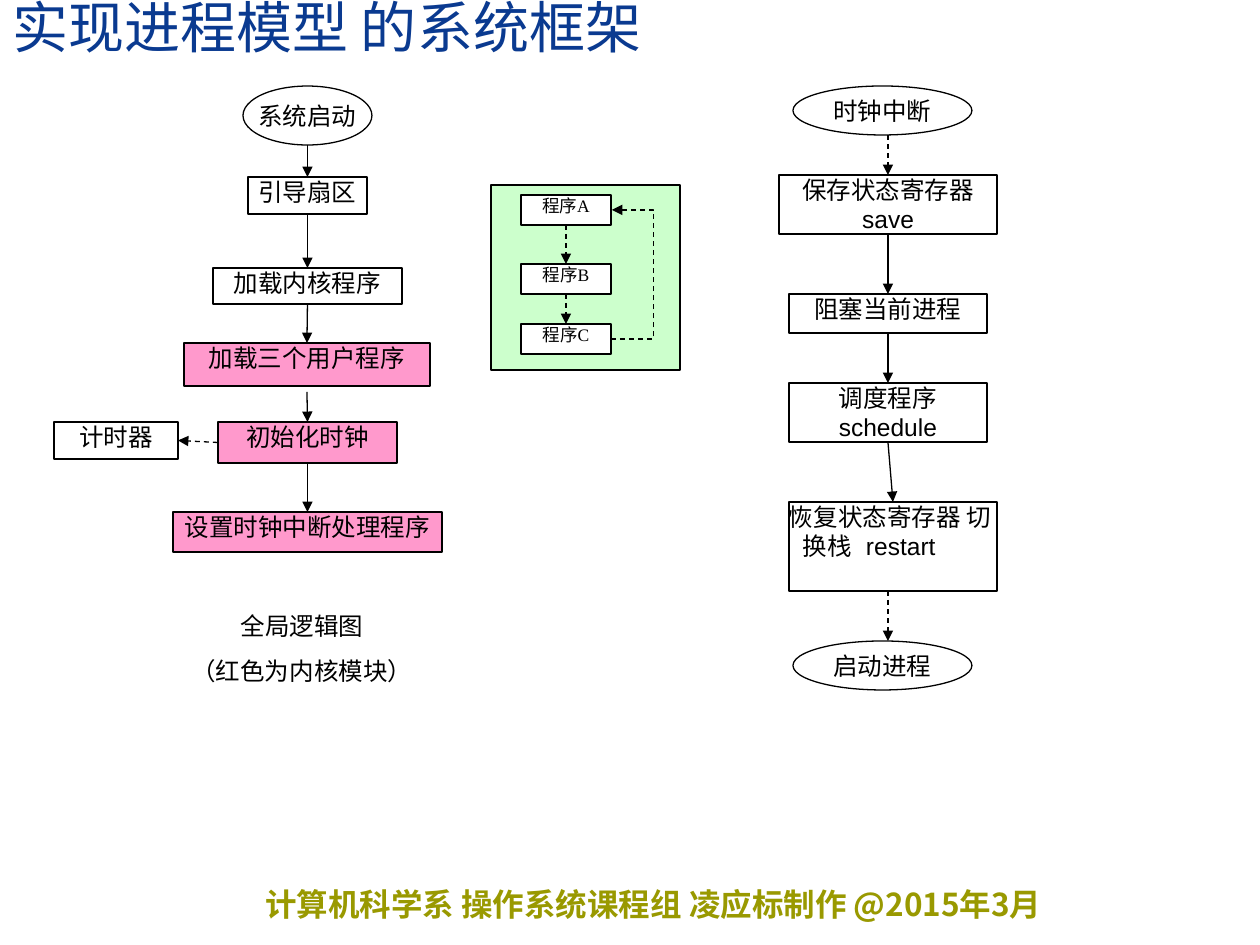
from lxml.etree import SubElement
from pptx import Presentation
from pptx.dml.color import RGBColor
from pptx.enum.dml import MSO_LINE
from pptx.enum.shapes import MSO_CONNECTOR, MSO_SHAPE
from pptx.enum.text import MSO_ANCHOR, PP_ALIGN
from pptx.oxml.ns import qn
from pptx.util import Emu, Pt

EMU_PER_PX = 914400 / 126
CJK_FONT = "Noto Sans CJK SC"
BLACK, WHITE, PINK, GREEN = "000000", "FFFFFF", "FF99CC", "CCFFCC"
TOP, LEFT, BOTTOM, RIGHT = range(4)


def px(*lengths):
    return [Emu(round(length * EMU_PER_PX)) for length in lengths]


def write(box, text, size, font, color=BLACK, align=PP_ALIGN.CENTER, bold=False):
    frame = box.text_frame
    frame.text = text
    for para in frame.paragraphs:
        para.alignment = align
        for span in para.runs:
            span.font.size = Pt(size)
            span.font.name = font
            span.font.bold = bold
            span.font.color.rgb = RGBColor.from_string(color)
            SubElement(span.font._element, qn("a:ea"), typeface=CJK_FONT)


deck = Presentation()
deck.slide_width, deck.slide_height = px(1260, 945)
page = deck.slides.add_slide(deck.slide_layouts[6])

# Title, footer and caption
title = page.shapes.add_textbox(*px(0, 0, 1260, 66))
title.text_frame.word_wrap = True
title.text_frame.vertical_anchor = MSO_ANCHOR.BOTTOM
write(title, "实现进程模型 的系统框架", 32, "Times New Roman", "0A3A90", PP_ALIGN.LEFT)
title.text_frame.paragraphs[0].line_spacing = 0.8

footer = page.shapes.add_textbox(*px(253, 879, 942, 50))
footer.text_frame.word_wrap = True
write(footer, "计算机科学系 操作系统课程组 凌应标制作 @2015年3月", 18, CJK_FONT,
      "999900", PP_ALIGN.LEFT, bold=True)

caption = page.shapes.add_textbox(*px(113, 611, 378, 79))
caption.text_frame.word_wrap = True
caption.text_frame.margin_top = caption.text_frame.margin_bottom = 0
write(caption, "全局逻辑图\n（红色为内核模块）", 14, "Times New Roman")
caption.text_frame.paragraphs[1].space_before = Pt(8.8)

# Boxes: key, text, left, top, width, height, fill (None: ellipse), size, font
boxes = [
    ("programs", "", 491, 185, 189, 185, GREEN, 10, "Times New Roman"),
    ("start", "系统启动", 243, 86, 129, 59, None, 14, "Arial"),
    ("boot", "引导扇区", 248, 177, 119, 37, WHITE, 14, "Times New Roman"),
    ("kernel", "加载内核程序", 213, 268, 189, 36, WHITE, 14, "Times New Roman"),
    ("user", "加载三个用户程序", 184, 343, 246, 43, PINK, 14, "Times New Roman"),
    ("clock", "初始化时钟", 218, 422, 179, 41, PINK, 14, "Times New Roman"),
    ("timer", "计时器", 54, 422, 124, 37, WHITE, 14, "Times New Roman"),
    ("handler", "设置时钟中断处理程序", 173, 512, 269, 40, PINK, 14, "Times New Roman"),
    ("A", "程序A", 521, 195, 90, 30, WHITE, 10, "Times New Roman"),
    ("B", "程序B", 521, 264, 90, 30, WHITE, 10, "Times New Roman"),
    ("C", "程序C", 521, 324, 90, 30, WHITE, 10, "Times New Roman"),
    ("interrupt", "时钟中断", 793, 86, 179, 49, None, 14, "Arial"),
    ("save", "保存状态寄存器save", 779, 175, 218, 59, WHITE, 14, "Arial"),
    ("block", "阻塞当前进程", 789, 294, 198, 39, WHITE, 14, "Arial"),
    ("schedule", "调度程序 schedule", 789, 383, 198, 59, WHITE, 14, "Arial"),
    ("restore", "恢复状态寄存器 切换栈\trestart", 789, 502, 208, 89, WHITE, 14, "Arial"),
    ("launch", "启动进程", 793, 641, 179, 49, None, 14, "Arial"),
]
nodes = {}
for key, text, left, top, width, height, fill, size, font in boxes:
    kind = MSO_SHAPE.RECTANGLE if fill else MSO_SHAPE.OVAL
    box = page.shapes.add_shape(kind, *px(left, top, width, height))
    box.shadow.inherit = False
    box.line.color.rgb = RGBColor.from_string(BLACK)
    box.line.width = Pt(0.75)
    frame = box.text_frame
    if fill:
        box.fill.solid()
        box.fill.fore_color.rgb = RGBColor.from_string(fill)
        frame.word_wrap = True
        frame.vertical_anchor = MSO_ANCHOR.TOP
        frame.margin_left = frame.margin_right = 0
        frame.margin_top = frame.margin_bottom = 0
    else:
        box.fill.background()
        frame.word_wrap = False
        frame.vertical_anchor = MSO_ANCHOR.MIDDLE
    if text:
        write(box, text, size, font)
    nodes[key] = box

# The wrapped second line is indented and has a tab stop before "restart"
restore_para = nodes["restore"].text_frame.paragraphs[0]
restore_para.alignment = PP_ALIGN.LEFT
indent, tab_stop = px(14, 124)
properties = restore_para._p.get_or_add_pPr()
properties.set("marL", str(indent))
properties.set("indent", str(-indent))
tabs = SubElement(properties, qn("a:tabLst"))
SubElement(tabs, qn("a:tab"), pos=str(tab_stop), algn="l")

# Arrows: begin point, end point, begin joint, end joint, dashed
arrows = [
    ((307, 145), (307, 177), ("start", BOTTOM), ("boot", TOP), False),
    ((307, 214), (307, 268), ("boot", BOTTOM), ("kernel", TOP), False),
    ((307, 304), (307, 343), ("kernel", BOTTOM), ("user", TOP), False),
    ((307, 392), (307, 422), None, ("clock", TOP), False),
    ((307, 463), (307, 512), ("clock", BOTTOM), ("handler", TOP), False),
    ((218, 442), (178, 441), ("clock", LEFT), ("timer", RIGHT), True),
    ((566, 225), (566, 264), ("A", BOTTOM), ("B", TOP), True),
    ((566, 294), (566, 324), ("B", BOTTOM), ("C", TOP), True),
    ((611, 339), (612, 210), None, None, True),
    ((888, 135), (888, 175), None, ("save", TOP), True),
    ((888, 234), (888, 294), ("save", BOTTOM), ("block", TOP), False),
    ((888, 333), (888, 383), ("block", BOTTOM), ("schedule", TOP), False),
    ((888, 442), (892, 502), ("schedule", BOTTOM), ("restore", TOP), False),
    ((888, 591), (888, 641), None, None, True),
]
for begin, end, begin_joint, end_joint, dashed in arrows:
    is_return = begin == (611, 339)
    kind = MSO_CONNECTOR.ELBOW if is_return else MSO_CONNECTOR.STRAIGHT
    arrow = page.shapes.add_connector(kind, *px(*begin, *end))
    if begin_joint:
        arrow.begin_connect(nodes[begin_joint[0]], begin_joint[1])
    if end_joint:
        arrow.end_connect(nodes[end_joint[0]], end_joint[1])
    arrow.line.color.rgb = RGBColor.from_string(BLACK)
    arrow.line.width = Pt(0.75)
    if dashed:
        arrow.line.dash_style = MSO_LINE.DASH
    SubElement(arrow.line._get_or_add_ln(), qn("a:tailEnd"), type="triangle")
    shape_properties = arrow._element.spPr
    SubElement(shape_properties, qn("a:effectLst"))
    if is_return:
        # The elbow bulges 43 px to the right of its 1 px wide frame
        guides = shape_properties.find(qn("a:prstGeom")).get_or_add_avLst()
        SubElement(guides, qn("a:gd"), name="adj1", fmla="val 4300000")

deck.save("out.pptx")
